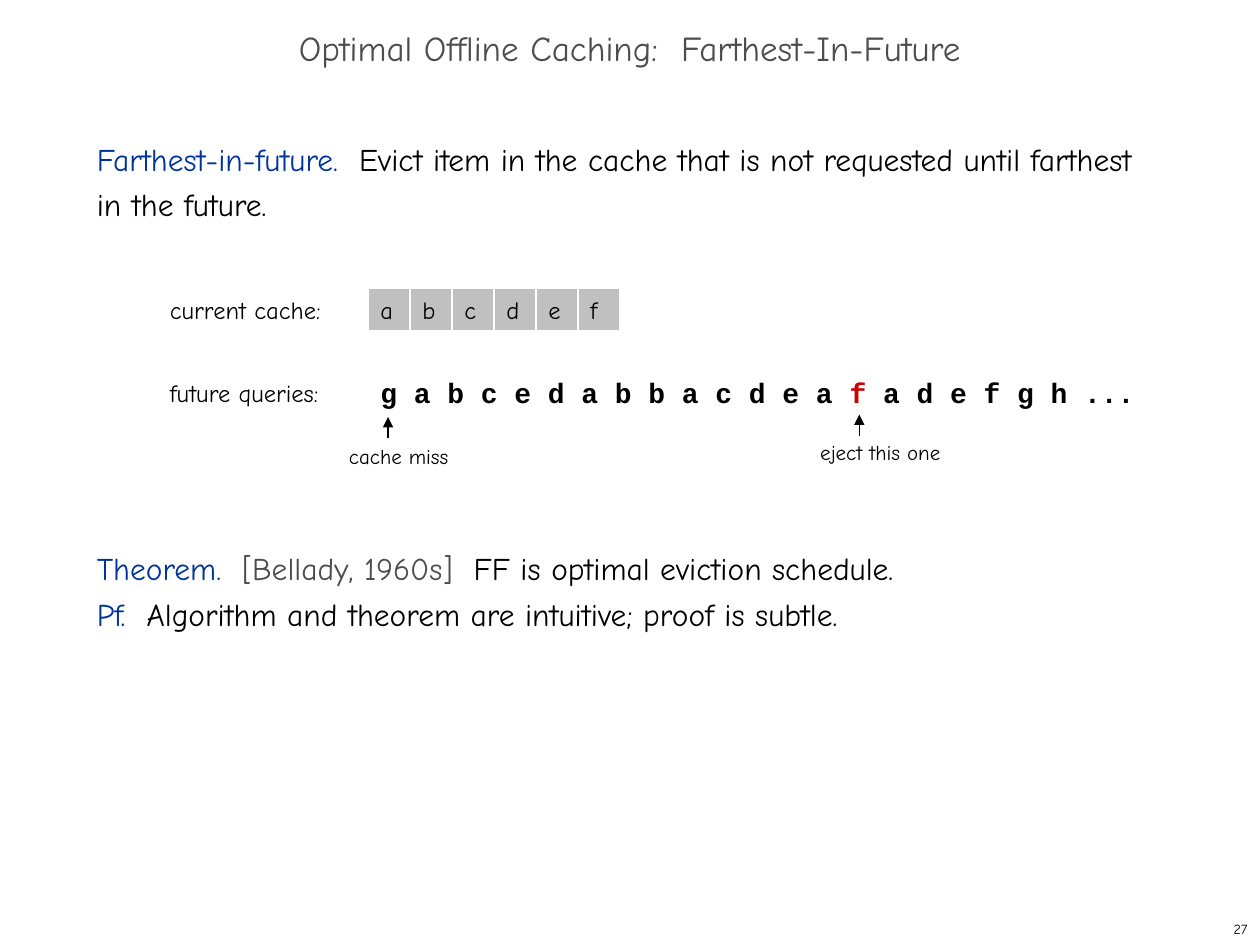
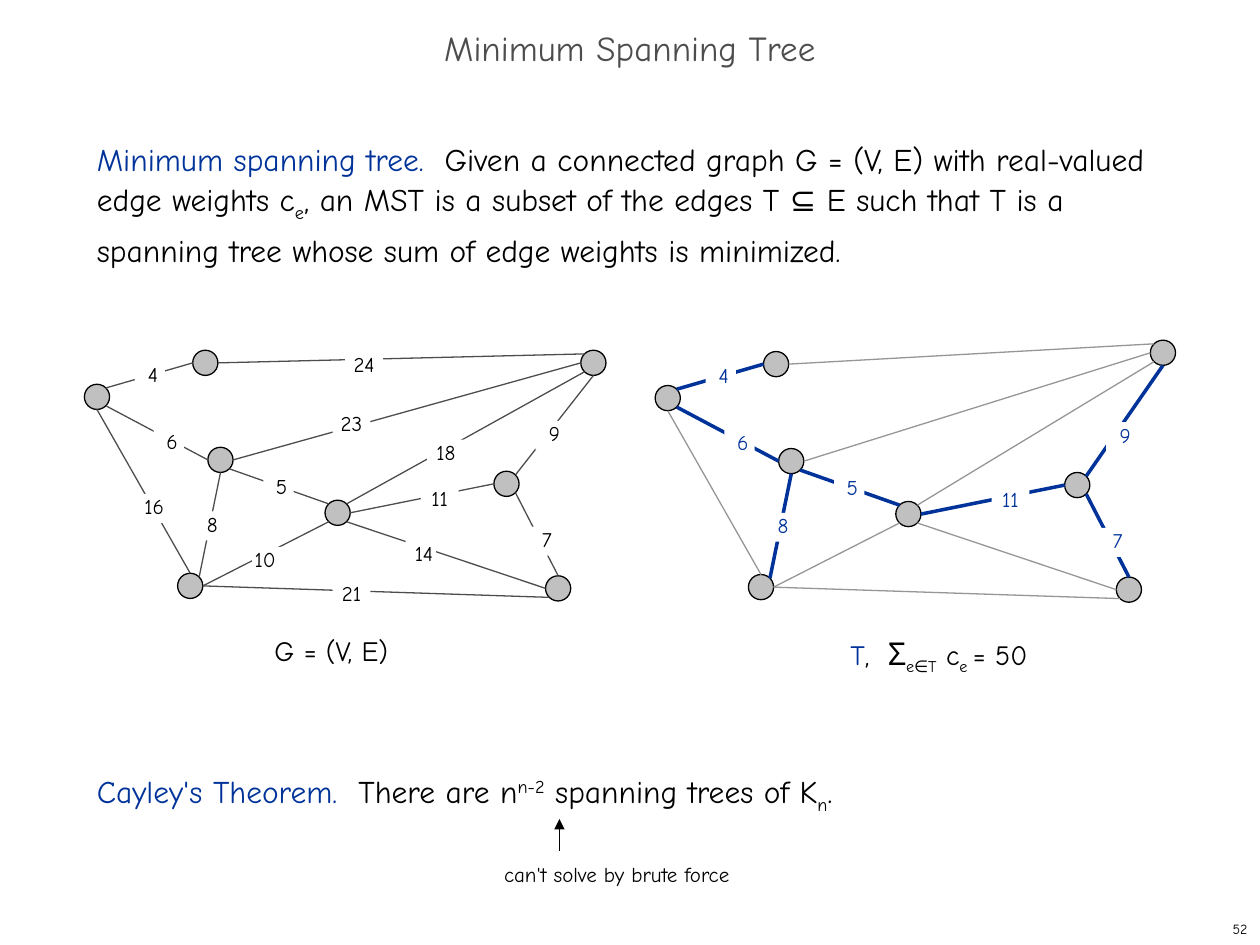
from lxml import etree
from pptx import Presentation
from pptx.dml.color import RGBColor
from pptx.enum import shapes, text
from pptx.oxml import ns
from pptx.util import Inches, Pt

COLORS = {"ink": "000000", "title": "4D4D4D", "term": "003399", "alert": "CC0000",
          "grey": "C0C0C0", "faint": "969696", "paper": "FFFFFF"}
FONT, CODE_FONT = "Comic Neue", "Courier New"
INSET = (0.1, 0.05, 0.1, 0.05)
LINE_PITCH = 26
SUB, SUPER = -25, 30
RADIUS = 0.1
DIAGONAL = RADIUS * 0.71
COMPASS = {"N": (0, -RADIUS), "S": (0, RADIUS), "W": (-RADIUS, 0), "E": (RADIUS, 0),
           "NW": (-DIAGONAL, -DIAGONAL), "NE": (DIAGONAL, -DIAGONAL),
           "SW": (-DIAGONAL, DIAGONAL), "SE": (DIAGONAL, DIAGONAL)}

NODES = {"s": (0.1, 0.37), "a": (0.96, 0.1), "b": (1.08, 0.87), "c": (0.84, 1.87),
         "d": (2.01, 1.29), "e": (3.35, 1.06), "t": (4.04, 0.1), "g": (3.76, 1.89)}
EDGES = {4: ("s", "NE", "a", "W"), 6: ("s", "SE", "b", "W"), 16: ("s", "S", "c", "N"),
         23: ("b", "E", "t", "W"), 9: ("e", "NE", "t", "S"), 5: ("b", "SE", "d", "NW"),
         14: ("d", "SE", "g", "W"), 11: ("d", "E", "e", "W"), 7: ("e", "SE", "g", "N"),
         18: ("t", "SW", "d", "NE"), 8: ("b", "S", "c", "NE"), 10: ("c", "E", "d", "SW"),
         24: ("a", "E", "t", "NW"), 21: ("c", "E", "g", "SW")}
WEIGHT_SPOTS = {5: (1.42, 0.98, 0.24), 23: (1.97, 0.48, 0.3), 10: (1.33, 1.56, 0.28),
                21: (1.97, 1.83, 0.3), 14: (2.55, 1.51, 0.24), 24: (2.07, 0.01, 0.3),
                16: (0.41, 1.14, 0.24), 6: (0.55, 0.62, 0.24), 4: (0.4, 0.09, 0.24),
                18: (2.72, 0.71, 0.3), 9: (3.58, 0.56, 0.3), 7: (3.52, 1.4, 0.3),
                11: (2.67, 1.07, 0.3), 8: (0.87, 1.28, 0.24)}
WEIGHT_INSETS = {0.24: (0.05, 0, 0, 0), 0.28: (0, 0, 0.07, 0), 0.3: (0, 0, 0, 0)}
TREE = {4, 5, 6, 7, 8, 9, 11}


def rgb(name):
    """Return the named colour."""
    return RGBColor.from_string(COLORS[name])


def write(frame, paragraphs, size, font=FONT, bold=False, align="LEFT", middle=False,
          inset=INSET, pitch=None, gaps=()):
    """Fill a text frame; each run is (words, colour[, baseline[, size]])."""
    frame.word_wrap = True
    frame.margin_left, frame.margin_top, frame.margin_right, frame.margin_bottom = map(Inches, inset)
    frame.vertical_anchor = text.MSO_ANCHOR.MIDDLE if middle else text.MSO_ANCHOR.TOP
    for index, runs in enumerate(paragraphs):
        paragraph = frame.add_paragraph() if index else frame.paragraphs[0]
        paragraph.alignment = getattr(text.PP_ALIGN, align)
        if pitch:
            paragraph.line_spacing = pitch
        if index and gaps:
            paragraph.space_before = Pt(gaps[index])
        for words, color, *extra in runs:
            run = paragraph.add_run()
            run.text = words
            run.font.name, run.font.bold = font, bold
            run.font.size = Pt(extra[1] if len(extra) > 1 else size)
            run.font.color.rgb = rgb(color)
            if extra and extra[0]:
                run._r.get_or_add_rPr().set("baseline", str(extra[0] * 1000))


def add_text(slide, box, paragraphs, size, **style):
    """Add a text box at (left, top, width, height)."""
    write(slide.shapes.add_textbox(*map(Inches, box)).text_frame, paragraphs, size, **style)


def add_block(slide, kind, box, fill, line=None):
    """Add a filled preset shape, outlined only when a line colour is given."""
    block = slide.shapes.add_shape(getattr(shapes.MSO_SHAPE, kind), *map(Inches, box))
    block.shadow.inherit = False
    block.fill.solid()
    block.fill.fore_color.rgb = rgb(fill)
    if line:
        block.line.color.rgb = rgb(line)
        block.line.width = Pt(0.75)
    else:
        block.line.fill.background()
    return block


def add_line(slide, start, end, color, width=0.75, arrow=False):
    """Add a straight line, with an arrowhead at its end if asked."""
    line = slide.shapes.add_connector(shapes.MSO_CONNECTOR.STRAIGHT, *map(Inches, (*start, *end)))
    line.line.color.rgb = rgb(color)
    line.line.width = Pt(width)
    if arrow:
        etree.SubElement(line.line._get_or_add_ln(), ns.qn("a:tailEnd"), type="triangle")
    etree.SubElement(line._element.spPr, ns.qn("a:effectLst"))


def add_note(slide, tip, length, words, indent, drop, width):
    """Add an upward arrow and the note below its tip."""
    x, y = tip
    add_line(slide, (x, y + length), tip, "ink", arrow=True)
    add_text(slide, (x - indent, y + drop, width, 0.2), [[(words, "ink")]], 12, inset=(0, 0, 0, 0))


def start_slide(deck, title, number, statements, gaps):
    """Add a slide with its title, page number and body statements."""
    slide = deck.slides.add_slide(deck.slide_layouts[6])
    add_text(slide, (7.92, 7.25, 2.08, 0.25), [[(str(number), "ink")]], 8, align="RIGHT", middle=True)
    add_text(slide, (0, 0.17, 10, 0.5), [[(title, "title")]], 20, align="CENTER", middle=True, pitch=0.7)
    add_text(slide, (0.67, 1, 8.58, 5.92), statements, 18, pitch=Pt(LINE_PITCH), gaps=gaps)
    return slide


def add_cache_example(slide, left, top):
    """Draw the cache contents above the queries to come."""
    cell, row_pitch, content = 1 / 3, 0.66, left + 1.67
    for row, caption in enumerate(("current cache:", "future queries:")):
        add_text(slide, (left, top + row * row_pitch, 1.45, cell), [[(caption, "ink")]], 14, middle=True)
    for column, item in enumerate("abcdef"):
        block = add_block(slide, "RECTANGLE", (content + column * cell, top, cell, cell), "grey", "paper")
        write(block.text_frame, [[(item, "ink")]], 14, middle=True)
    queries = [("g a b c e d a b b a c d e a ", "ink"), ("f", "alert"), (" a d e f g h ...", "ink")]
    add_text(slide, (content, top + row_pitch, 6.58, cell), [queries], 16,
             font=CODE_FONT, bold=True, middle=True)
    add_note(slide, (left + 1.83, top + 1.02), 0.17, "cache miss", 0.31, 0.21, 0.9)
    add_note(slide, (left + 5.57, top + 1), 0.17, "eject this one", 0.31, 0.2, 1.08)


def add_graph(slide, left, top, nodes, styles, weight_color, labelled):
    """Draw nodes, edges styled by weight, and the labelled weights."""
    centers = {name: (left + x, top + y) for name, (x, y) in nodes.items()}
    for x, y in centers.values():
        add_block(slide, "OVAL", (x - RADIUS, y - RADIUS, 2 * RADIUS, 2 * RADIUS), "grey", "ink")
    for weight, (tail, tail_side, head, head_side) in EDGES.items():
        start, end = [(centers[name][0] + COMPASS[side][0], centers[name][1] + COMPASS[side][1])
                      for name, side in ((tail, tail_side), (head, head_side))]
        add_line(slide, start, end, *styles[weight])
    for weight, (x, y, width) in WEIGHT_SPOTS.items():
        if weight in labelled:
            label = add_block(slide, "RECTANGLE", (left + x, top + y, width, 0.23), "paper")
            write(label.text_frame, [[(str(weight), weight_color)]], 12, align="CENTER",
                  inset=WEIGHT_INSETS[width])


def build_caching(deck):
    """Build the farthest-in-future slide."""
    slide = start_slide(deck, "Optimal Offline Caching:  Farthest-In-Future", 27, [
        [("Farthest-in-future.  ", "term"),
         ("Evict item in the cache that is not requested until farthest in the future.", "ink")],
        [("Theorem.  ", "term"), ("[Bellady, 1960s]  ", "title"),
         ("FF is optimal eviction schedule.", "ink")],
        [("Pf.  ", "term"), ("Algorithm and theorem are intuitive; proof is subtle.", "ink")],
    ], (0, 7 * LINE_PITCH, 0))
    add_cache_example(slide, 1.25, 2.29)


def build_spanning_tree(deck):
    """Build the minimum spanning tree slide."""
    slide = start_slide(deck, "Minimum Spanning Tree", 52, [
        [("Minimum spanning tree.  ", "term"),
         ("Given a connected graph G = (V, E) with real-valued edge weights c", "ink"), ("e", "ink", SUB),
         (", an MST is a subset of the edges T ⊆ E such that T is a spanning tree "
          "whose sum of edge weights is minimized.", "ink")],
        [("Cayley's Theorem.  ", "term"), ("There are n", "ink"), ("n-2", "ink", SUPER),
         (" spanning trees of K", "ink"), ("n", "ink", SUB), (".", "ink")],
    ], (0, 11 * LINE_PITCH))
    plain = {weight: ("title", 0.75) for weight in EDGES}
    chosen = {weight: ("term", 2) if weight in TREE else ("faint", 0.75) for weight in EDGES}
    add_graph(slide, 0.67, 2.78, NODES, plain, "ink", EDGES)
    add_graph(slide, 5.2, 2.79, {**NODES, "t": (4.03, 0.01)}, chosen, "term", TREE)
    add_text(slide, (2.08, 4.98, 1.42, 0.41), [[("G = (V, E)", "ink")]], 16)
    add_text(slide, (6.65, 4.98, 1.83, 0.41), [[
        ("T", "term"), (",  ", "ink"), ("Σ", "ink", 0, 18), ("e∈T", "ink", SUB),
        (" c", "ink"), ("e ", "ink", SUB), ("= 50", "ink")]], 16)
    add_note(slide, (4.44, 6.5), 0.25, "can't solve by brute force", 0.44, 0.34, 2.02)


def main():
    """Build and save the deck."""
    deck = Presentation()
    deck.slide_width, deck.slide_height = Inches(10), Inches(7.5)
    build_caching(deck)
    build_spanning_tree(deck)
    deck.save("out.pptx")


if __name__ == "__main__":
    main()
